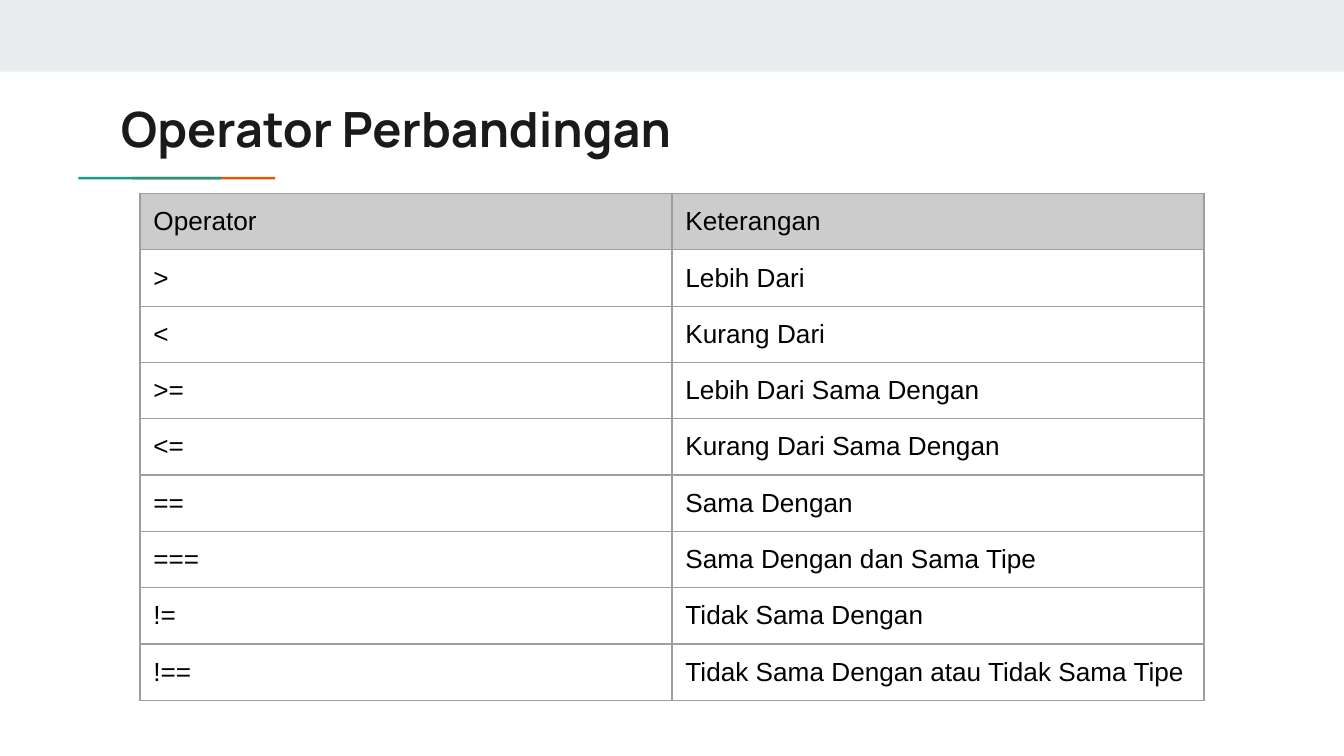
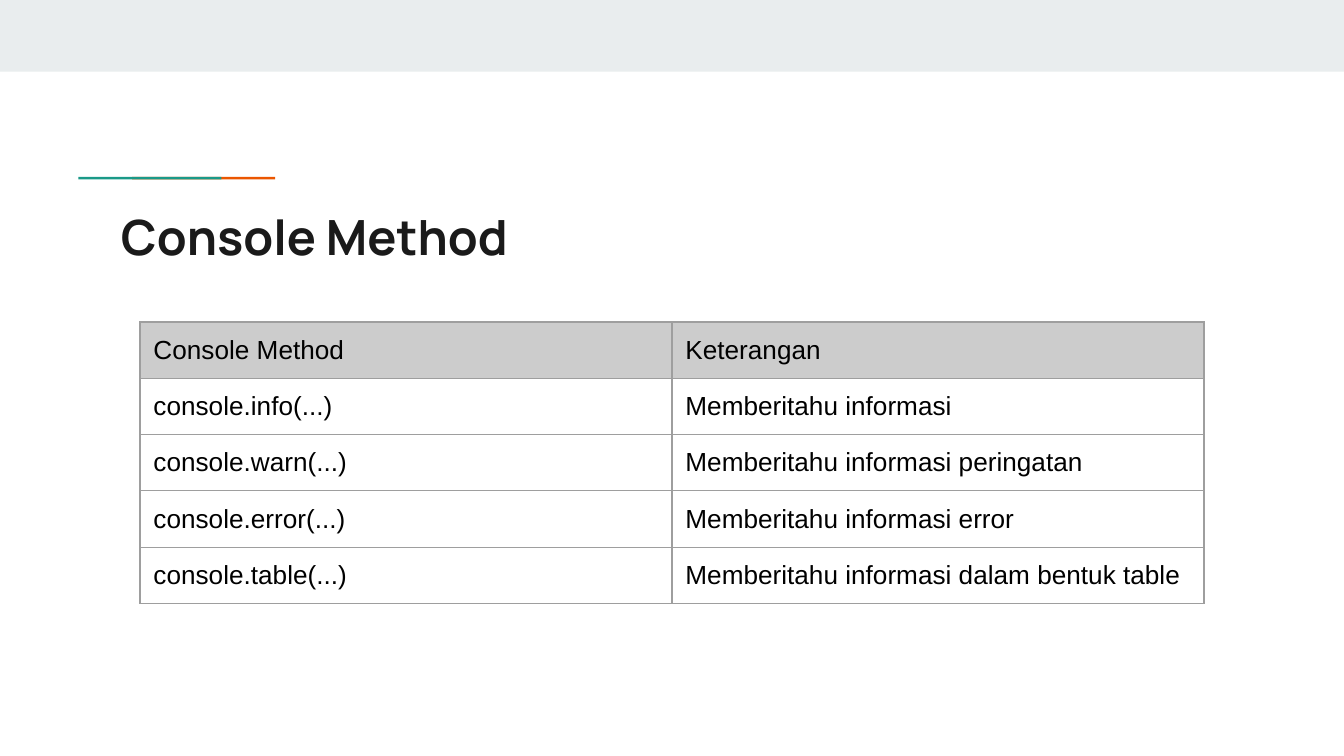
from dataclasses import dataclass

from lxml import etree
from pptx import Presentation
from pptx.dml.color import RGBColor
from pptx.enum import shapes, text
from pptx.oxml import ns
from pptx.util import Pt


@dataclass(frozen=True)
class Theme:
    band: str = "E9EDEE"
    teal: str = "1A9988"
    orange: str = "EB5600"
    title: str = "1A1A1A"
    body: str = "000000"
    header: str = "CCCCCC"
    border: str = "9E9E9E"
    title_font: str = "Manrope"
    body_font: str = "Arial"
    title_size: float = 26
    body_size: float = 14
    border_width: float = 0.75
    inset: float = 7.2


T = Theme()
WIDTH, HEIGHT = 720, 405
TABLE_LEFT, COLUMN_WIDTH, ROW_HEIGHT = 75, 285, 30.05

OPERATORS = [
    ("Operator", "Keterangan"),
    (">", "Lebih Dari"),
    ("<", "Kurang Dari"),
    (">=", "Lebih Dari Sama Dengan"),
    ("<=", "Kurang Dari Sama Dengan"),
    ("==", "Sama Dengan"),
    ("===", "Sama Dengan dan Sama Tipe"),
    ("!=", "Tidak Sama Dengan"),
    ("!==", "Tidak Sama Dengan atau Tidak Sama Tipe"),
]
CONSOLE_METHODS = [
    ("Console Method", "Keterangan"),
    ("console.info(...)", "Memberitahu informasi"),
    ("console.warn(...)", "Memberitahu informasi peringatan"),
    ("console.error(...)", "Memberitahu informasi error"),
    ("console.table(...)", "Memberitahu informasi dalam bentuk table"),
]


def style_runs(tf, font, size, color, bold=False):
    for p in tf.paragraphs:
        for r in p.runs:
            r.font.name = font
            r.font.size = Pt(size)
            r.font.bold = bold
            r.font.color.rgb = RGBColor.from_string(color)


def set_margins(target):
    target.margin_left = target.margin_right = Pt(T.inset)
    target.margin_top = target.margin_bottom = Pt(T.inset)


def add_bar(parent, x, y, w, h, color, rotation=0):
    sp = parent.shapes.add_shape(
        shapes.MSO_SHAPE.RECTANGLE, Pt(x), Pt(y), Pt(w), Pt(h))
    sp.rotation = rotation
    sp.shadow.inherit = False
    sp.fill.solid()
    sp.fill.fore_color.rgb = RGBColor.from_string(color)
    sp.line.fill.background()


def add_accent(s):
    # Two overlapping upright bars turned sideways, flattened by the group
    grp = s.shapes.add_group_shape()
    for x, color in ((107.3, T.orange), (78.5, T.teal)):
        add_bar(grp, x, 57, 3.6, 76.7, color, rotation=270)
    grp.top, grp.height = Pt(80.7), Pt(29.5)


def set_title(s, wording, top):
    sp = s.shapes.title
    sp.left, sp.top, sp.width, sp.height = Pt(57.6), Pt(top), Pt(605.5), Pt(42.5)
    tf = sp.text_frame
    tf.text = wording
    tf.word_wrap = True
    tf.auto_size = text.MSO_AUTO_SIZE.NONE
    tf.vertical_anchor = text.MSO_ANCHOR.TOP
    set_margins(tf)
    tf.paragraphs[0].alignment = text.PP_ALIGN.LEFT
    style_runs(tf, T.title_font, T.title_size, T.title, bold=True)


def set_borders(cell):
    tcPr = cell._tc.get_or_add_tcPr()
    for side in ("a:lnL", "a:lnR", "a:lnT", "a:lnB"):
        ln = etree.SubElement(tcPr, ns.qn(side), w=str(Pt(T.border_width)))
        fill = etree.SubElement(ln, ns.qn("a:solidFill"))
        etree.SubElement(fill, ns.qn("a:srgbClr"), val=T.border)


def add_table(s, rows, top):
    columns = len(rows[0])
    table = s.shapes.add_table(
        len(rows), columns, Pt(TABLE_LEFT), Pt(top),
        Pt(COLUMN_WIDTH * columns), Pt(ROW_HEIGHT * len(rows))).table
    table.horz_banding = False
    for column in table.columns:
        column.width = Pt(COLUMN_WIDTH)
    for i, row in enumerate(rows):
        table.rows[i].height = Pt(ROW_HEIGHT)
        for j, wording in enumerate(row):
            cell = table.cell(i, j)
            cell.text_frame.text = wording
            set_margins(cell)
            style_runs(cell.text_frame, T.body_font, T.body_size, T.body)
            # Borders must precede the fill in the cell properties
            set_borders(cell)
            if i == 0:
                cell.fill.solid()
                cell.fill.fore_color.rgb = RGBColor.from_string(T.header)
            else:
                cell.fill.background()


def add_table_slide(prs, title, title_top, rows, table_top):
    s = prs.slides.add_slide(prs.slide_layouts[5])
    # Top band and two-colour accent line
    add_bar(s, 0, 0, WIDTH, 38.4, T.band)
    add_accent(s)
    # Title and content
    set_title(s, title, title_top)
    add_table(s, rows, table_top)


def main():
    prs = Presentation()
    prs.slide_width, prs.slide_height = Pt(WIDTH), Pt(HEIGHT)
    add_table_slide(prs, "Operator Perbandingan", 45.7, OPERATORS, 103.7)
    add_table_slide(prs, "Console Method", 103.7, CONSOLE_METHODS, 172.5)
    prs.save("out.pptx")


if __name__ == "__main__":
    main()
